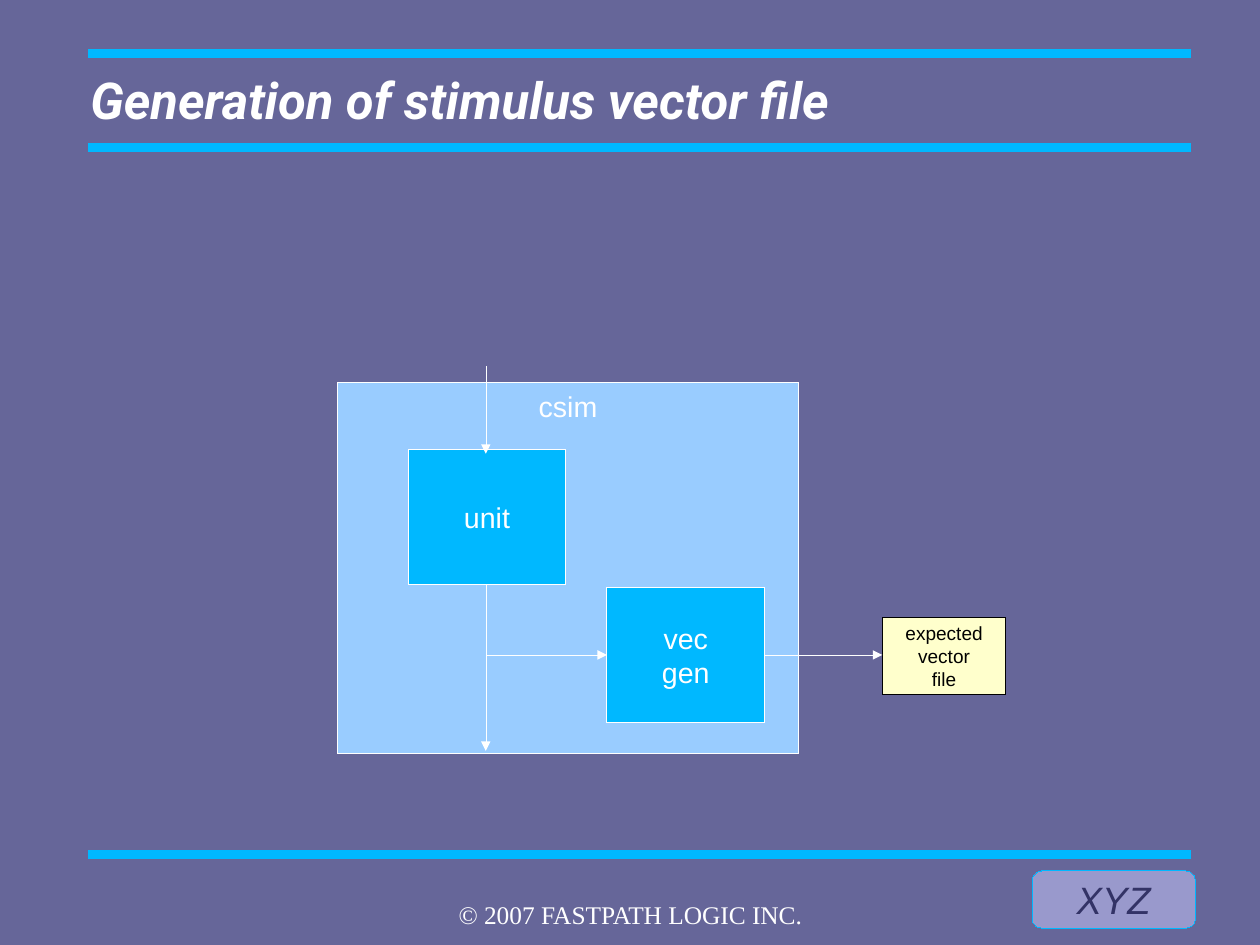
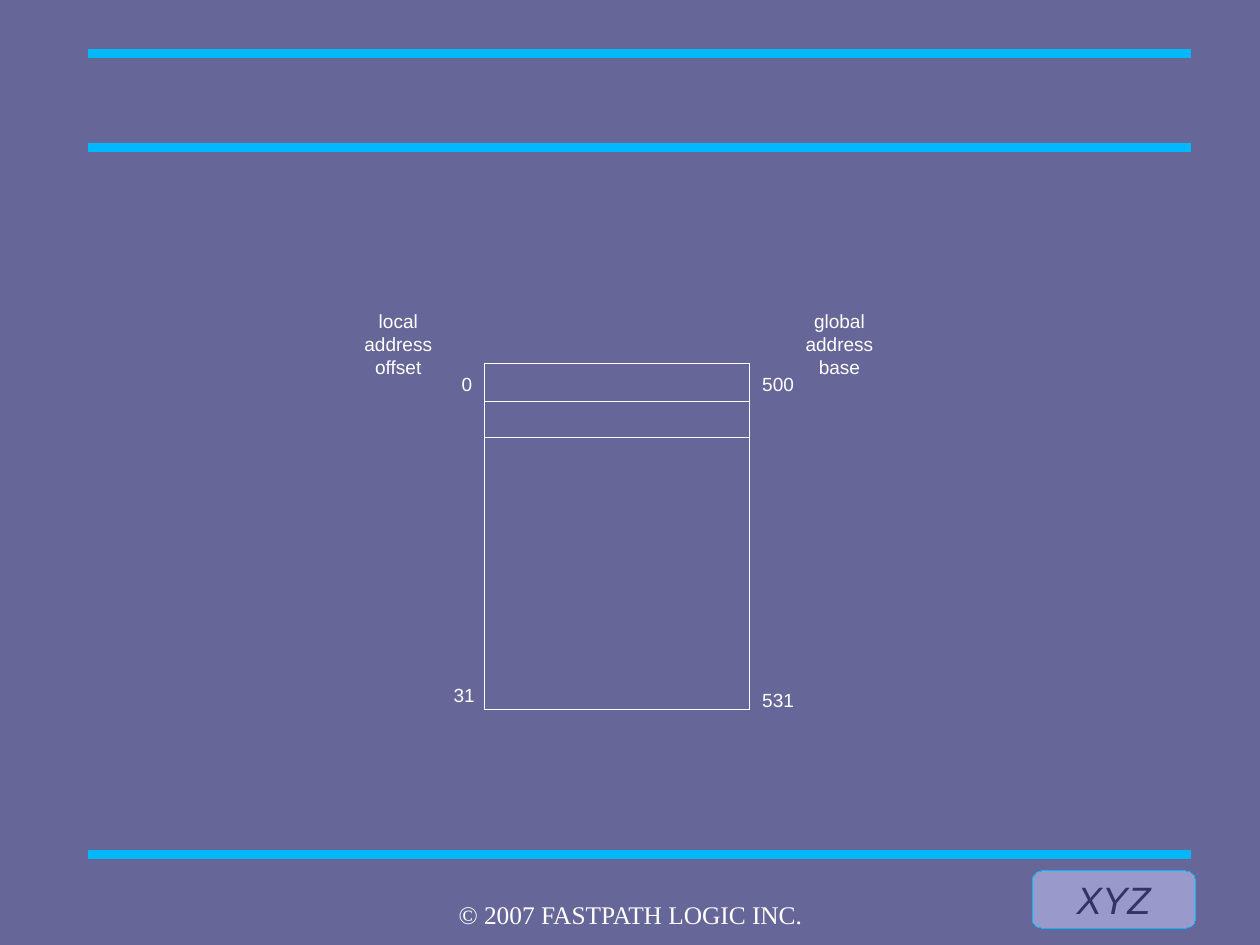
import dataclasses
from typing import Optional

import pptx
import pptx.dml.color
import pptx.enum.shapes
import pptx.enum.text
import pptx.oxml.ns
import pptx.util
from lxml import etree

SLIDE_WIDTH, SLIDE_HEIGHT = pptx.util.Cm(28), pptx.util.Cm(21)
# Every other length is a count of columns or rows of a square grid.
CELL = pptx.util.Inches(0.1)

BACKGROUND = "666699"
ACCENT = "00B8FF"
WHITE = "FFFFFF"
BLACK = "000000"
PANEL = "99CCFF"
NOTE = "FFFFCC"
BADGE = "9999CC"
BADGE_TEXT = "333366"

RECT = pptx.enum.shapes.MSO_SHAPE.RECTANGLE
ROUNDED = pptx.enum.shapes.MSO_SHAPE.ROUNDED_RECTANGLE
TOP = pptx.enum.text.MSO_ANCHOR.TOP
MIDDLE = pptx.enum.text.MSO_ANCHOR.MIDDLE
LEFT = pptx.enum.text.PP_ALIGN.LEFT
CENTER = pptx.enum.text.PP_ALIGN.CENTER

# A width of exactly zero would fall back to the theme's line width.
HAIRLINE = 0.01
RULE_WIDTH = 5.67
RULE_LEFT, RULE_RIGHT = 7.7, 104.2
RULE_ROWS = (4.7, 12.9, 74.8)


@dataclasses.dataclass(frozen=True)
class TextStyle:
    size: int
    font: str = "Arial"
    color: str = WHITE
    bold: bool = False
    italic: bool = False
    align: pptx.enum.text.PP_ALIGN = CENTER
    anchor: pptx.enum.text.MSO_ANCHOR = MIDDLE
    margins: tuple[float, float] = (1, 0.5)


@dataclasses.dataclass(frozen=True)
class Box:
    """A block of text; with no fill and no outline it is a plain text box."""
    left: float
    top: float
    width: float
    height: float
    text: str = ""
    style: Optional[TextStyle] = None
    fill: Optional[str] = None
    outline: Optional[str] = None
    shape: pptx.enum.shapes.MSO_SHAPE = RECT


@dataclasses.dataclass(frozen=True)
class Line:
    x1: float
    y1: float
    x2: float
    y2: float
    color: str = WHITE
    width: float = HAIRLINE
    arrow: bool = False


TITLE = TextStyle(32, "Roboto", bold=True, italic=True, align=LEFT, margins=(0, 0))
FOOTER = TextStyle(16, "Times New Roman", anchor=TOP, margins=(0, 0))
BADGE_STYLE = TextStyle(24, color=BADGE_TEXT, italic=True, margins=(0, 0))
UNIT = TextStyle(18)
CONTAINER = TextStyle(18, anchor=TOP)
FILE = TextStyle(12, color=BLACK)
ADDRESS = TextStyle(12, align=LEFT, anchor=TOP)
HEADING = TextStyle(12, anchor=TOP)


def grid(count: float) -> int:
    return round(count * CELL)


def rgb(value: str) -> pptx.dml.color.RGBColor:
    return pptx.dml.color.RGBColor.from_string(value)


def write_text(frame, text: str, style: TextStyle) -> None:
    frame.text = text
    frame.word_wrap = True
    frame.vertical_anchor = style.anchor
    side, end = map(grid, style.margins)
    frame.margin_left = frame.margin_right = side
    frame.margin_top = frame.margin_bottom = end
    for paragraph in frame.paragraphs:
        paragraph.alignment = style.align
        for run in paragraph.runs:
            run.font.name = style.font
            run.font.size = pptx.util.Pt(style.size)
            run.font.bold = style.bold
            run.font.italic = style.italic
            run.font.color.rgb = rgb(style.color)


def draw_box(slide, box: Box) -> None:
    place = [grid(n) for n in (box.left, box.top, box.width, box.height)]
    if box.fill or box.outline:
        drawn = slide.shapes.add_shape(box.shape, *place)
        drawn.shadow.inherit = False
        if box.fill:
            drawn.fill.solid()
            drawn.fill.fore_color.rgb = rgb(box.fill)
        else:
            drawn.fill.background()
        if box.outline:
            drawn.line.color.rgb = rgb(box.outline)
            drawn.line.width = pptx.util.Pt(HAIRLINE)
        else:
            drawn.line.fill.background()
    else:
        drawn = slide.shapes.add_textbox(*place)
    if box.style:
        write_text(drawn.text_frame, box.text, box.style)


def draw_line(slide, line: Line) -> None:
    ends = [grid(n) for n in (line.x1, line.y1, line.x2, line.y2)]
    drawn = slide.shapes.add_connector(
        pptx.enum.shapes.MSO_CONNECTOR.STRAIGHT, *ends)
    drawn.line.color.rgb = rgb(line.color)
    drawn.line.width = pptx.util.Pt(line.width)
    qn = pptx.oxml.ns.qn
    properties = drawn.element.spPr
    if line.arrow:
        etree.SubElement(properties.find(qn("a:ln")), qn("a:tailEnd"), type="triangle")
    etree.SubElement(properties, qn("a:effectLst"))


def add_slide(deck, title: str = ""):
    """Add a slide with the shared rules, badge, footer and optional title."""
    slide = deck.slides.add_slide(deck.slide_layouts[6])
    slide.background.fill.solid()
    slide.background.fill.fore_color.rgb = rgb(BACKGROUND)
    for row in RULE_ROWS:
        draw_line(slide, Line(RULE_LEFT, row, RULE_RIGHT, row, ACCENT, RULE_WIDTH))
    draw_box(slide, Box(90.3, 76.2, 14.3, 5, "XYZ", BADGE_STYLE, BADGE, ACCENT, ROUNDED))
    draw_box(slide, Box(37.7, 78.7, 34.9, 2.3, "© 2007 FASTPATH LOGIC INC.", FOOTER))
    if title:
        draw_box(slide, Box(7.9, 2.8, 94.1, 11.8, title, TITLE))
    return slide


def build_vector_flow(deck) -> None:
    slide = add_slide(deck, "Generation of stimulus vector file")
    unit_width, unit_height = 13.8, 11.8
    csim = Box(29.5, 33.5, 40.4, 32.4, "csim", CONTAINER, PANEL, WHITE)
    unit = Box(35.7, 39.3, unit_width, unit_height, "unit", UNIT, ACCENT, WHITE)
    generator = Box(53.1, 51.4, unit_width, unit_height, "vec\ngen", UNIT, ACCENT, WHITE)
    vector_file = Box(77.2, 54, 10.8, 6.8, "expected\nvector\nfile", FILE, NOTE, BLACK)
    for box in (csim, unit, generator, vector_file):
        draw_box(slide, box)

    signal = 42.5
    output_row = generator.top + unit_height / 2
    for flow in (
        (signal, 32, signal, 39.7),
        (signal, unit.top + unit_height, signal, 65.7),
        (signal, output_row, generator.left, output_row),
        (generator.left + unit_width, output_row, vector_file.left, output_row),
    ):
        draw_line(slide, Line(*flow, arrow=True))


def build_address_map(deck) -> None:
    slide = add_slide(deck)
    memory = Box(42.4, 31.8, 23.2, 30.3, outline=WHITE)
    draw_box(slide, memory)
    for row in (35.1, 38.3):
        draw_line(slide, Line(memory.left, row, memory.left + memory.width, row))

    for left, top, width, address in (
        (39.4, 32.1, 4.1, "0"),
        (38.7, 59.3, 4.1, "31"),
        (65.7, 32.1, 5.5, "500"),
        (65.7, 59.7, 5.5, "531"),
    ):
        draw_box(slide, Box(left, top, width, 3.5, address, ADDRESS))
    for left, heading in ((30.5, "local\naddress\noffset"), (69.1, "global\naddress\nbase")):
        draw_box(slide, Box(left, 26.6, 8.7, 8.4, heading, HEADING))


def main() -> None:
    deck = pptx.Presentation()
    deck.slide_width, deck.slide_height = SLIDE_WIDTH, SLIDE_HEIGHT
    build_vector_flow(deck)
    build_address_map(deck)
    deck.save("out.pptx")


if __name__ == "__main__":
    main()
